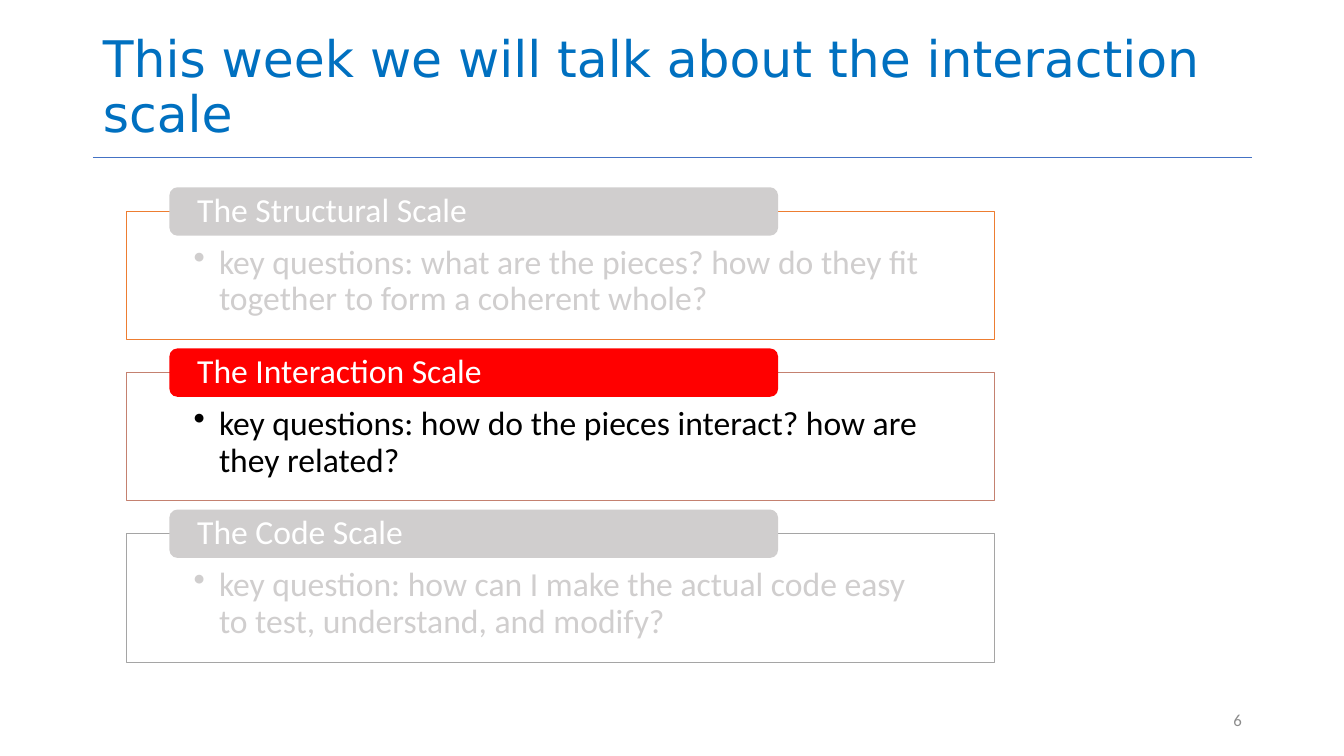
from lxml import etree
from pptx import Presentation
from pptx.dml.color import RGBColor
from pptx.enum.shapes import MSO_CONNECTOR as Connector, MSO_SHAPE as Shape
from pptx.enum.text import MSO_ANCHOR as Anchor, MSO_AUTO_SIZE as AutoSize, PP_ALIGN as Align
from pptx.oxml.ns import qn
from pptx.util import Cm, Pt

BLUE = RGBColor(0x00, 0x70, 0xC0)
RULE_BLUE = RGBColor(0x44, 0x72, 0xC4)
ORANGE = RGBColor(0xED, 0x7D, 0x31)
ROSE = RGBColor(0xC4, 0x81, 0x70)
GRAY = RGBColor(0xA5, 0xA5, 0xA5)
PALE_GRAY = RGBColor(0xD0, 0xCE, 0xCE)
NUMBER_GRAY = RGBColor(0x8C, 0x8C, 0x8C)
RED = RGBColor(0xFF, 0x00, 0x00)
BLACK = RGBColor(0x00, 0x00, 0x00)
WHITE = RGBColor(0xFF, 0xFF, 0xFF)

# Heading, question, outline colour, tab colour, question colour
SCALES = [
    ("The Structural Scale",
     "key questions: what are the pieces? how do they fit together to form a coherent whole?",
     ORANGE, PALE_GRAY, PALE_GRAY),
    ("The Interaction Scale",
     "key questions: how do the pieces interact? how are they related?",
     ROSE, RED, BLACK),
    ("The Code Scale",
     "key question: how can I make the actual code easy to test, understand, and modify?",
     GRAY, PALE_GRAY, PALE_GRAY),
]
FIRST_TOP, PITCH = 5.33, 4.06


def write(shape, text, size, color, font="Calibri", align=Align.LEFT, anchor=Anchor.MIDDLE):
    frame = shape.text_frame
    frame.text = text
    frame.word_wrap = True
    frame.auto_size = AutoSize.NONE
    frame.vertical_anchor = anchor
    para = frame.paragraphs[0]
    para.alignment = align
    para.line_spacing = 0.9
    span = para.runs[0].font
    span.name, span.size, span.color.rgb = font, Pt(size), color
    return para


def add_panel(slide, kind, left, top, width, height, fill, margins):
    panel = slide.shapes.add_shape(kind, Cm(left), Cm(top), Cm(width), Cm(height))
    panel.shadow.inherit = False
    panel.fill.solid()
    panel.fill.fore_color.rgb = fill
    frame = panel.text_frame
    side, upper, lower = margins
    frame.margin_left = frame.margin_right = Cm(side)
    frame.margin_top, frame.margin_bottom = Cm(upper), Cm(lower)
    return panel


deck = Presentation()
deck.slide_width, deck.slide_height = Cm(33.87), Cm(19.05)
page = deck.slides.add_slide(deck.slide_layouts[5])

# Rule under the title
rule = page.shapes.add_connector(Connector.STRAIGHT, Cm(2.34), Cm(3.97), Cm(31.55), Cm(3.97))
rule.line.color.rgb = RULE_BLUE
rule.line.width = Pt(0.5)
etree.SubElement(rule.element.spPr, qn("a:effectLst"))

# Title
title = page.shapes.title
title.left, title.top, title.width, title.height = Cm(2.34), Cm(0.05), Cm(29.21), Cm(3.68)
write(title, "This week we will talk about the interaction scale", 36, BLUE,
      font="DejaVu Sans", anchor=Anchor.BOTTOM)

# Slide number
number = page.shapes.add_textbox(Cm(23.93), Cm(17.65), Cm(7.62), Cm(1.02))
write(number, "6", 12, NUMBER_GRAY, align=Align.RIGHT)

# One outlined box with a heading tab per scale
for index, (heading, question, outline, tab_color, question_color) in enumerate(SCALES):
    top = FIRST_TOP + index * PITCH

    box = add_panel(page, Shape.RECTANGLE, 3.18, top, 21.89, 3.23, WHITE, (1.7, 0.86, 0.48))
    box.line.color.rgb = outline
    box.line.width = Pt(0.5)
    para = write(box, question, 24, question_color, anchor=Anchor.TOP)
    properties = para._p.get_or_add_pPr()
    properties.set("marL", str(Cm(0.64)))
    properties.set("indent", str(Cm(-0.64)))
    etree.SubElement(properties, qn("a:buChar"), char="•")

    tab = add_panel(page, Shape.ROUNDED_RECTANGLE, 4.27, top - 0.61, 15.34, 1.22,
                    tab_color, (0.64, 0, 0))
    tab.line.fill.background()
    write(tab, heading, 24, WHITE)

deck.save("out.pptx")
